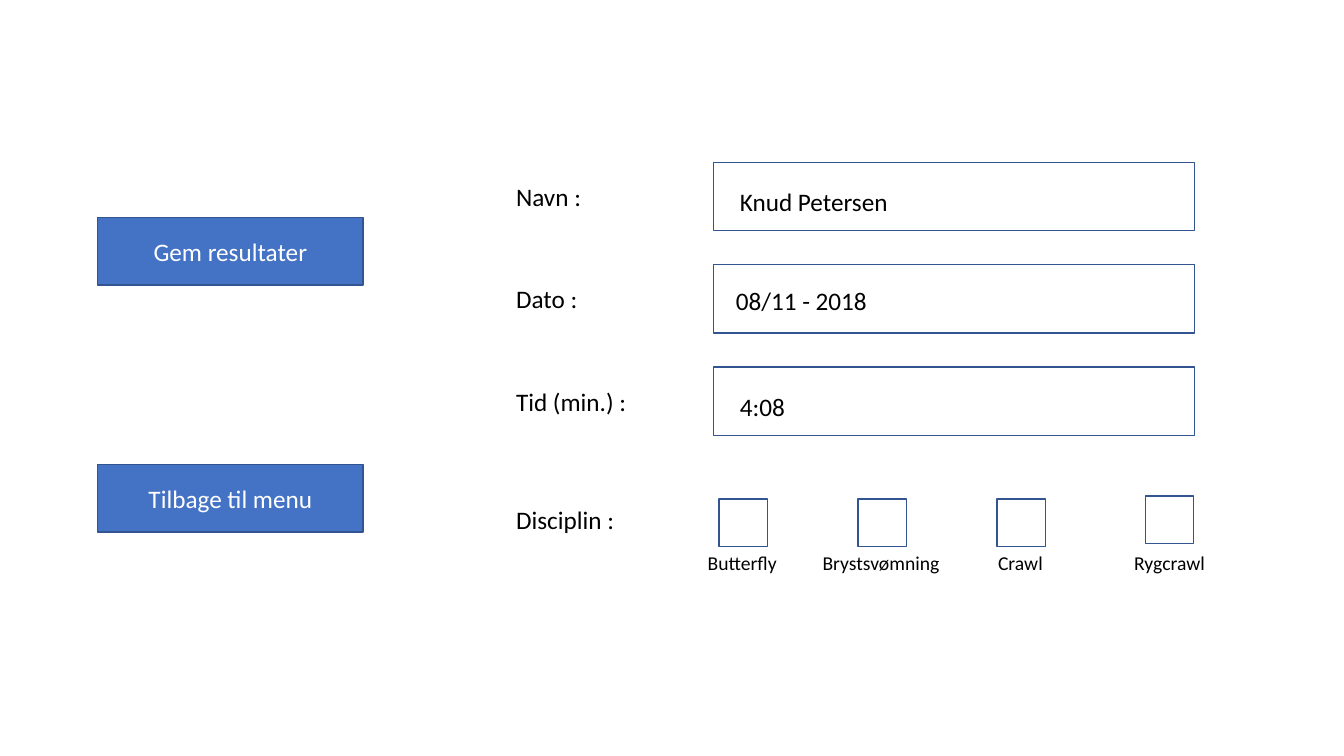
from dataclasses import dataclass

from pptx import Presentation
from pptx.dml.color import RGBColor
from pptx.enum.shapes import MSO_SHAPE as Preset
from pptx.enum.text import MSO_ANCHOR as Anchor, MSO_AUTO_SIZE as AutoSize, PP_ALIGN as Align
from pptx.util import Inches, Pt


@dataclass(frozen=True)
class Theme:
    font: str = "Calibri"
    ink: RGBColor = RGBColor(0x00, 0x00, 0x00)
    button_ink: RGBColor = RGBColor(0xFF, 0xFF, 0xFF)
    button_fill: RGBColor = RGBColor(0x44, 0x72, 0xC4)
    outline: RGBColor = RGBColor(0x32, 0x54, 0x91)
    outline_width: Pt = Pt(1)
    body: Pt = Pt(18)
    caption: Pt = Pt(14)


THEME = Theme()


def add_span(para, text, size, color):
    span = para.add_run()
    span.text = text
    span.font.name = THEME.font
    span.font.size = size
    span.font.color.rgb = color


def add_label(page, text, left, top, width, height=0.4, size=THEME.body):
    box = page.shapes.add_textbox(Inches(left), Inches(top), Inches(width), Inches(height))
    frame = box.text_frame
    frame.word_wrap = False
    frame.auto_size = AutoSize.SHAPE_TO_FIT_TEXT
    add_span(frame.paragraphs[0], text, size, THEME.ink)


def add_frame(page, left, top, width, height):
    box = page.shapes.add_shape(
        Preset.RECTANGLE, Inches(left), Inches(top), Inches(width), Inches(height))
    box.shadow.inherit = False
    box.fill.background()
    box.line.color.rgb = THEME.outline
    box.line.width = THEME.outline_width
    return box


def add_button(page, text, top):
    button = add_frame(page, 0.97, top, 2.63, 0.67)
    button.fill.solid()
    button.fill.fore_color.rgb = THEME.button_fill
    button.text_frame.vertical_anchor = Anchor.MIDDLE
    para = button.text_frame.paragraphs[0]
    para.alignment = Align.CENTER
    add_span(para, text, THEME.body, THEME.button_ink)


def add_field(page, row, label, label_width, value, value_left, value_top, value_width):
    top = 1.61 + row * 1.015
    add_frame(page, 7.08, top, 4.77, 0.68)
    add_label(page, label, 5.02, top + 0.14, label_width)
    add_label(page, value, value_left, value_top, value_width)


def add_checkbox(page, text, left, top, text_left, text_width):
    add_frame(page, left, top, 0.48, 0.47)
    add_label(page, text, text_left, 5.42, text_width, 0.34, THEME.caption)


def main():
    deck = Presentation()
    deck.slide_width = Inches(13.33)
    deck.slide_height = Inches(7.5)
    page = deck.slides.add_slide(deck.slide_layouts[6])

    fields = [
        ("Navn :", 0.91, "Knud Petersen", 7.24, 1.8, 1.69),
        ("Dato :", 0.88, "08/11 - 2018", 7.2, 2.78, 1.52),
        ("Tid (min.) :", 1.37, "4:08", 7.24, 3.83, 0.65),
    ]
    for row, field in enumerate(fields):
        add_field(page, row, *field)

    add_label(page, "Disciplin :", 5.02, 4.95, 1.19)
    disciplines = [
        ("Butterfly", 7.13, 4.95, 6.92, 0.9),
        ("Brystsvømning", 8.51, 4.95, 8.06, 1.37),
        ("Crawl", 9.89, 4.95, 9.8, 0.65),
        ("Rygcrawl", 11.36, 4.92, 11.15, 0.91),
    ]
    for discipline in disciplines:
        add_checkbox(page, *discipline)

    add_button(page, "Gem resultater", 2.16)
    add_button(page, "Tilbage til menu", 4.61)
    deck.save("out.pptx")


if __name__ == "__main__":
    main()
